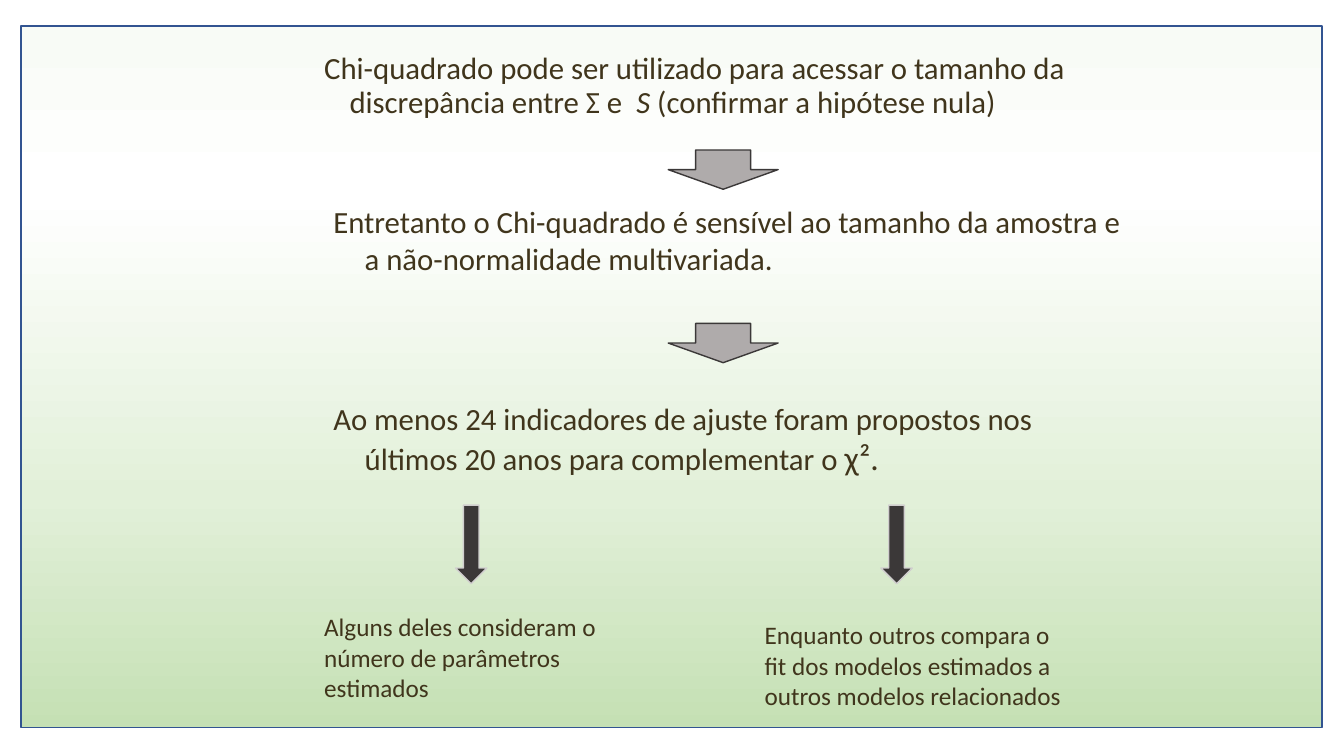
import copy
from dataclasses import dataclass

import pptx
import pptx.dml.color
import pptx.enum.shapes
import pptx.enum.text
import pptx.oxml.ns
import pptx.util

Cm = pptx.util.Cm
Pt = pptx.util.Pt
SHAPE = pptx.enum.shapes.MSO_SHAPE
TEXT_COLOR = "40351C"


@dataclass
class Phrase:
    text: str
    italic: bool | None = None
    size: float | None = None


@dataclass
class Statement:
    left: float
    top: float
    width: float
    height: float
    phrases: list[Phrase]
    size: float = 22
    margin: float = 0
    indent: float = 0
    space_before: float = 0
    line_spacing: float = 1.0
    grows: bool = False


@dataclass
class Arrow:
    left: float
    top: float
    width: float
    height: float
    fill: str
    line: str


def rgb(value: str) -> pptx.dml.color.RGBColor:
    return pptx.dml.color.RGBColor.from_string(value)


def add_outlined(slide, kind, left: float, top: float, width: float, height: float, line: str):
    shape = slide.shapes.add_shape(kind, Cm(left), Cm(top), Cm(width), Cm(height))
    shape.shadow.inherit = False
    shape.line.color.rgb = rgb(line)
    shape.line.width = Pt(1)
    return shape


def fill_gradient(shape, stops: list[tuple[float, str]]) -> None:
    shape.fill.gradient()
    shape.fill.gradient_angle = 270
    stop_list = next(shape._element.iter(pptx.oxml.ns.qn("a:gsLst")))
    while len(stop_list) < len(stops):
        stop_list.append(copy.deepcopy(stop_list[0]))
    for stop, (position, color) in zip(shape.fill.gradient_stops, stops):
        stop.position = position
        stop.color.rgb = rgb(color)


def draw_arrow(slide, arrow: Arrow) -> None:
    shape = add_outlined(slide, SHAPE.DOWN_ARROW, arrow.left, arrow.top,
                         arrow.width, arrow.height, arrow.line)
    shape.fill.solid()
    shape.fill.fore_color.rgb = rgb(arrow.fill)


def draw_statement(slide, statement: Statement) -> None:
    box = slide.shapes.add_textbox(Cm(statement.left), Cm(statement.top),
                                   Cm(statement.width), Cm(statement.height))
    frame = box.text_frame
    frame.word_wrap = True
    if statement.grows:
        frame.auto_size = pptx.enum.text.MSO_AUTO_SIZE.SHAPE_TO_FIT_TEXT
    paragraph = frame.paragraphs[0]
    paragraph.space_before = Pt(statement.space_before)
    paragraph.line_spacing = statement.line_spacing
    properties = paragraph._p.get_or_add_pPr()
    properties.set("marL", str(Cm(statement.margin)))
    properties.set("indent", str(Cm(statement.indent)))
    paragraph.font.name = "Calibri"
    paragraph.font.size = Pt(statement.size)
    paragraph.font.color.rgb = rgb(TEXT_COLOR)
    for phrase in statement.phrases:
        run = paragraph.add_run()
        run.text = phrase.text
        if phrase.italic:
            run.font.italic = True
        if phrase.size:
            run.font.size = Pt(phrase.size)


STEP_BOX = {"left": 7.92, "width": 20.83, "height": 2.77}
HANGING = {"margin": 1.02, "indent": -0.79, "space_before": 6}
BRANCH_BOX = {"width": 8.33, "height": 2.57, "size": 18, "grows": True}

statements = [
    Statement(top=1.22, **STEP_BOX, margin=0.64, indent=-0.64, space_before=10, line_spacing=0.9,
              phrases=[
                  Phrase("Chi-quadrado pode ser utilizado para acessar o tamanho da "
                         "discrepância entre Σ e  "),
                  Phrase("S ", italic=True),
                  Phrase("(confirmar a hipótese nula)"),
              ]),
    Statement(top=4.98, **STEP_BOX, **HANGING, phrases=[
        Phrase("Entretanto o Chi-quadrado é sensível ao tamanho da amostra e "
               "a não-normalidade multivariada."),
    ]),
    Statement(top=9.96, **STEP_BOX, **HANGING, phrases=[
        Phrase("Ao menos 24 indicadores de ajuste foram propostos nos "
               "últimos 20 anos para complementar o "),
        Phrase("χ².", size=24),
    ]),
    Statement(left=7.92, top=15.29, **BRANCH_BOX, phrases=[
        Phrase("Alguns deles consideram o número de parâmetros estimados "),
    ]),
    Statement(left=19.02, top=15.49, **BRANCH_BOX, phrases=[
        Phrase("Enquanto outros compara o fit dos modelos estimados a outros modelos relacionados"),
    ]),
]

step_arrows = [Arrow(16.84, top, 2.77, 0.99, "AFABAB", "3B3838") for top in (3.78, 8.15)]
branch_arrows = [Arrow(left, 12.73, 0.79, 1.98, "3B3838", "D0CECE") for left in (11.48, 22.2)]

presentation = pptx.Presentation()
presentation.slide_width = Cm(33.87)
presentation.slide_height = Cm(19.05)
slide = presentation.slides.add_slide(presentation.slide_layouts[6])

panel = add_outlined(slide, SHAPE.RECTANGLE, 0.53, 0.66, 32.79, 17.68, "325491")
fill_gradient(panel, [(0, "F8FBF6"), (0.24, "FFFFFF"), (0.67, "E2F0D9"), (1, "C5E0B4")])

for statement in statements:
    draw_statement(slide, statement)
for arrow in step_arrows + branch_arrows:
    draw_arrow(slide, arrow)

presentation.save("out.pptx")
